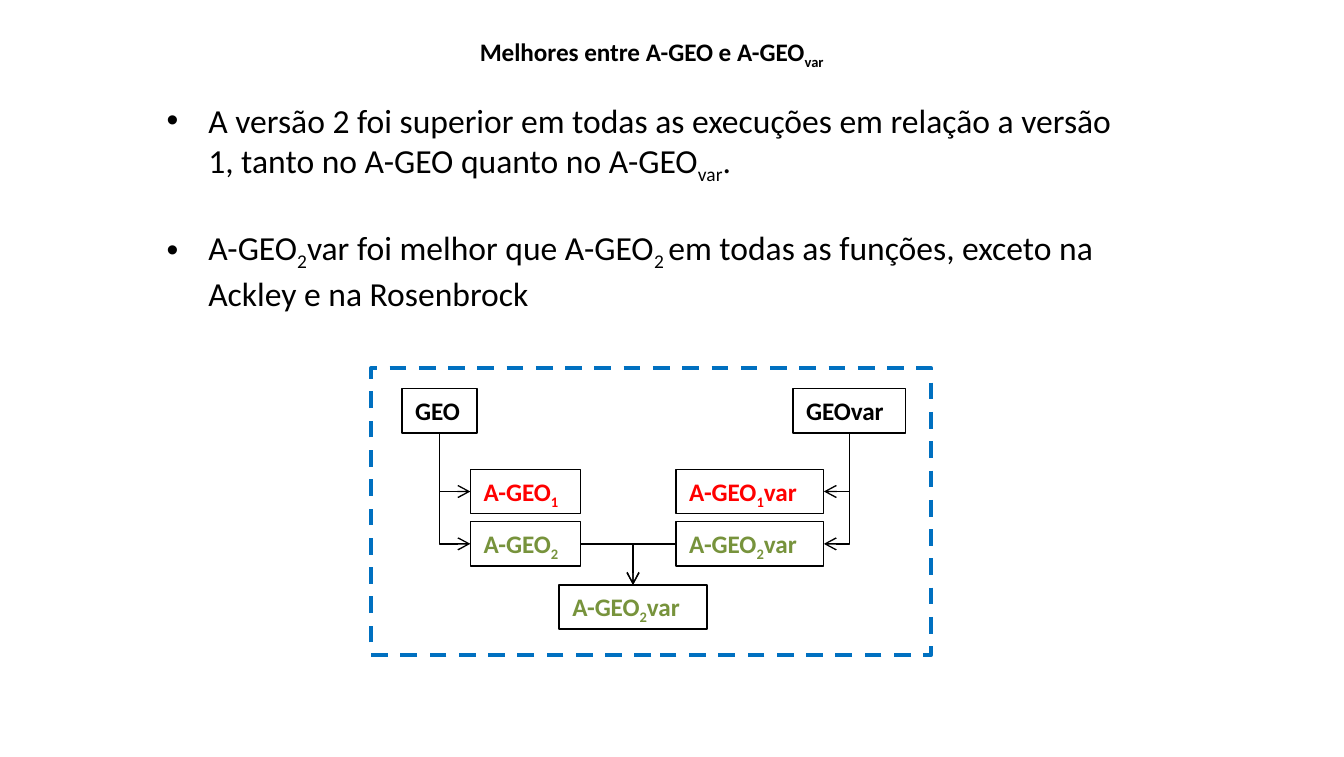
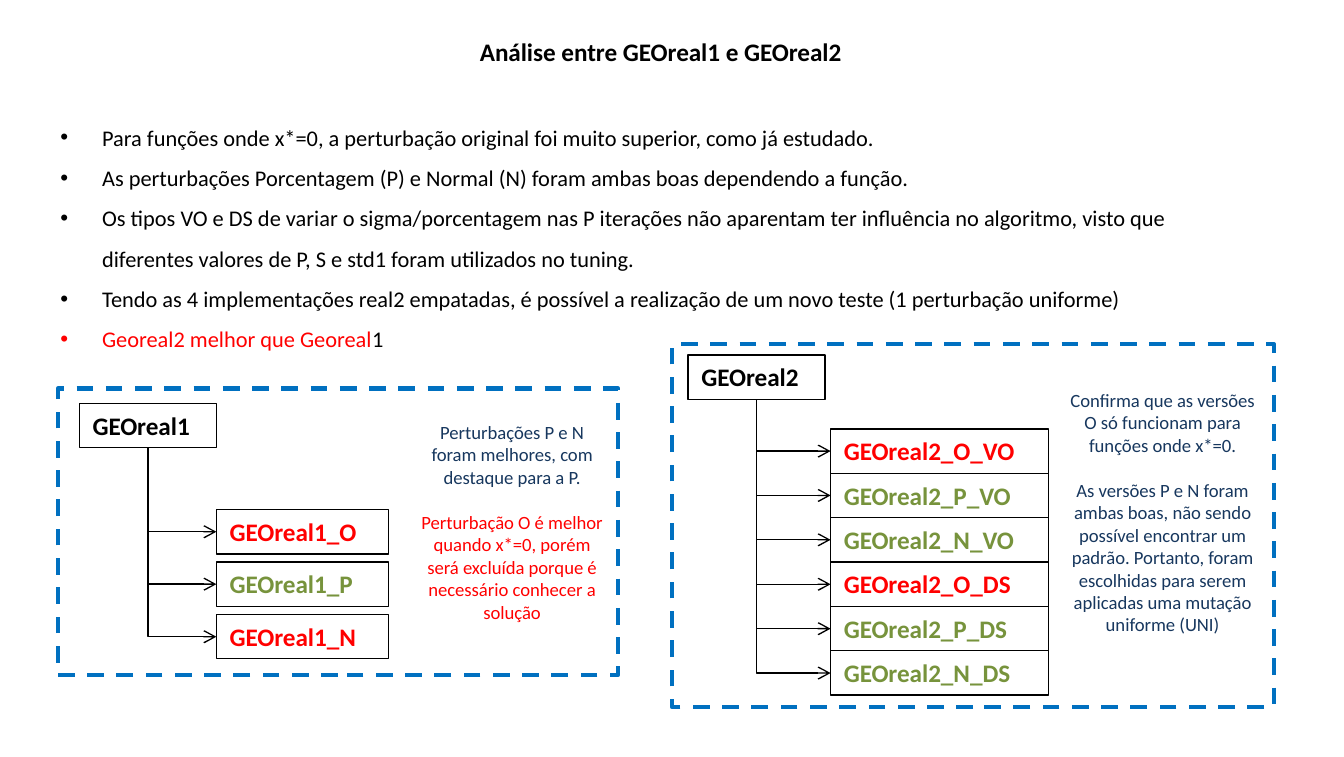
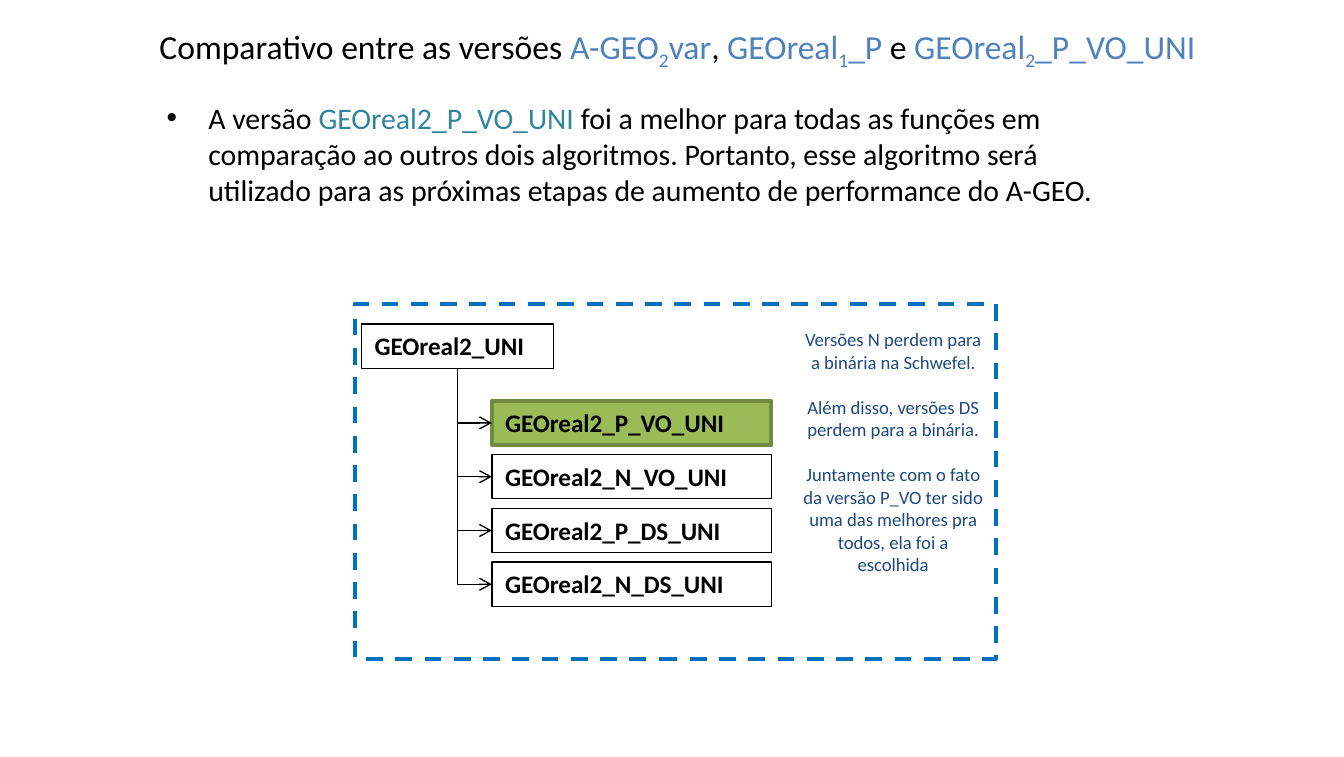
from dataclasses import dataclass
from typing import Any, NamedTuple, Optional

from lxml import etree
from pptx import Presentation
from pptx.dml.color import RGBColor
from pptx.enum.dml import MSO_LINE
from pptx.enum.shapes import MSO_CONNECTOR, MSO_SHAPE
from pptx.enum.text import MSO_ANCHOR, MSO_AUTO_SIZE, PP_ALIGN
from pptx.oxml.ns import qn
from pptx.util import Emu, Pt

PX = 9144
FONT = "Calibri"

BLACK = RGBColor(0x00, 0x00, 0x00)
RED = RGBColor(0xFF, 0x00, 0x00)
GREEN = RGBColor(0x77, 0x93, 0x3C)
BLUE = RGBColor(0x4F, 0x81, 0xBD)
TEAL = RGBColor(0x31, 0x85, 0x9C)
NAVY = RGBColor(0x17, 0x37, 0x5E)
DARK_BLUE = RGBColor(0x1F, 0x49, 0x7D)
FRAME_BLUE = RGBColor(0x00, 0x70, 0xC0)
WINNER_FILL = RGBColor(0x9B, 0xBB, 0x59)
WINNER_LINE = RGBColor(0x73, 0x8A, 0x42)

LEFT = PP_ALIGN.LEFT
CENTER = PP_ALIGN.CENTER
TOP = MSO_ANCHOR.TOP
NO_AUTOFIT = MSO_AUTO_SIZE.NONE
RECTANGLE = MSO_SHAPE.RECTANGLE
ELBOW = MSO_CONNECTOR.ELBOW
DASH = MSO_LINE.DASH

TOP_SIDE, LEFT_SIDE, BOTTOM_SIDE, RIGHT_SIDE = range(4)
BOX_HEIGHT = 33
BULLET_INDENT = 31


class Rect(NamedTuple):
    left: int
    top: int
    width: int
    height: int = BOX_HEIGHT


class Span(NamedTuple):
    text: str
    color: RGBColor = BLACK
    lowered: bool = False


Spans = list[Span]


@dataclass(frozen=True)
class TextStyle:
    size: float
    bold: bool = False
    align: Any = LEFT
    gap: float = 0
    spacing: float = 1.0
    indent: int = 0


@dataclass(frozen=True)
class Node:
    label: Spans
    fill: Optional[RGBColor] = None
    line: RGBColor = BLACK
    weight: float = 0.75


@dataclass(frozen=True)
class Tree:
    root_rect: Rect
    root: Node
    first_leaf: Rect
    step: int
    leaves: list[Node]


@dataclass(frozen=True)
class Note:
    rect: Rect
    paras: list[Spans]


HEADING = TextStyle(13.5, bold=True)
WIDE_HEADING = TextStyle(18, align=CENTER)
NODE = TextStyle(13.5, bold=True)
NOTE = TextStyle(10, align=CENTER, gap=12.2)


def px(length: int) -> Emu:
    return Emu(length * PX)


def px_rect(rect: Rect) -> list[Emu]:
    return [px(length) for length in rect]


def apply(target: Any, values: dict[str, Any]) -> None:
    for name, value in values.items():
        setattr(target, name, value)


def spans(color: RGBColor, *parts: str) -> Spans:
    return [Span(part, color, index % 2 == 1) for index, part in enumerate(parts)]


def nodes(*labels: tuple[str, RGBColor]) -> list[Node]:
    return [Node(spans(color, text)) for text, color in labels]


def write(shape: Any, paras: list[Spans], style: TextStyle) -> None:
    frame = shape.text_frame
    apply(frame, {"word_wrap": True, "auto_size": NO_AUTOFIT, "vertical_anchor": TOP})
    for index, content in enumerate(paras):
        para = frame.add_paragraph() if index else frame.paragraphs[0]
        apply(para, {
            "alignment": style.align,
            "line_spacing": style.spacing,
            "space_before": Pt(style.gap if index else 0),
            "space_after": Pt(0),
        })
        if style.indent:
            properties = para._p.get_or_add_pPr()
            properties.set("marL", str(px(style.indent)))
            properties.set("indent", str(-px(style.indent)))
        for span in content:
            run = para.add_run()
            run.text = span.text
            apply(run.font, {"name": FONT, "size": Pt(style.size), "bold": style.bold})
            run.font.color.rgb = span.color
            if span.lowered:
                run._r.get_or_add_rPr().set("baseline", "-25000")


def fill_placeholder(shape: Any, rect: Rect, paras: list[Spans], style: TextStyle) -> None:
    apply(shape, dict(zip(Rect._fields, px_rect(rect))))
    write(shape, paras, style)


def add_page(deck: Any, title_rect: Rect, title: Spans, title_style: TextStyle,
             body_rect: Rect, body: list[Spans], body_style: TextStyle) -> Any:
    page = deck.slides.add_slide(deck.slide_layouts[1])
    fill_placeholder(page.shapes.title, title_rect, [title], title_style)
    fill_placeholder(page.placeholders[1], body_rect, body, body_style)
    return page


def add_rectangle(page: Any, rect: Rect, line: RGBColor, weight: float,
                  fill: Optional[RGBColor] = None) -> Any:
    box = page.shapes.add_shape(RECTANGLE, *px_rect(rect))
    box.shadow.inherit = False
    if fill is None:
        box.fill.background()
    else:
        box.fill.solid()
        box.fill.fore_color.rgb = fill
    box.line.color.rgb = line
    box.line.width = Pt(weight)
    return box


def add_node(page: Any, rect: Rect, node: Node) -> Any:
    box = add_rectangle(page, rect, node.line, node.weight, node.fill)
    write(box, [node.label], NODE)
    return box


def add_frame(page: Any, rect: Rect) -> None:
    add_rectangle(page, rect, FRAME_BLUE, 2.25).line.dash_style = DASH


def add_note(page: Any, note: Note) -> None:
    write(page.shapes.add_textbox(*px_rect(note.rect)), note.paras, NOTE)


def turn_downward(connector: Any, xfrm: Any) -> None:
    left, top = connector.left, connector.top
    width, height = connector.width, connector.height
    apply(connector, {
        "left": Emu(left + (width - height) // 2),
        "top": Emu(top + (height - width) // 2),
        "width": height,
        "height": width,
    })
    xfrm.set("rot", "5400000")
    if xfrm.attrib.pop("flipH", None) is None:
        xfrm.set("flipV", "1")


def add_elbow(page: Any, start: Any, start_side: int, end: Any, end_side: int) -> None:
    connector = page.shapes.add_connector(ELBOW, 0, 0, 0, 0)
    connector.begin_connect(start, start_side)
    connector.end_connect(end, end_side)
    properties = connector._element.spPr
    properties.find(qn("a:prstGeom")).set("prst", "bentConnector2")
    if start_side == BOTTOM_SIDE:
        turn_downward(connector, properties.find(qn("a:xfrm")))
    connector.line.color.rgb = BLACK
    connector.line.width = Pt(0.75)
    etree.SubElement(properties.find(qn("a:ln")), qn("a:tailEnd"), type="arrow")
    etree.SubElement(properties, qn("a:effectLst"))


def add_tree(page: Any, tree: Tree) -> list[Any]:
    root = add_node(page, tree.root_rect, tree.root)
    first = tree.first_leaf
    side = LEFT_SIDE if first.left > tree.root_rect.left else RIGHT_SIDE
    boxes = []
    for index, leaf in enumerate(tree.leaves):
        box = add_node(page, first._replace(top=first.top + index * tree.step), leaf)
        add_elbow(page, root, BOTTOM_SIDE, box, side)
        boxes.append(box)
    return boxes


def build_best_page(deck: Any) -> None:
    page = add_page(
        deck,
        Rect(347, 22, 306), spans(BLACK, "Melhores entre A-GEO e A-GEO", "var"), HEADING,
        Rect(114, 69, 741, 151),
        [
            spans(BLACK, "A versão 2 foi superior em todas as execuções em relação a versão 1, "
                  "tanto no A-GEO quanto no A-GEO", "var", "."),
            spans(BLACK, "A-GEO", "2", "var foi melhor que A-GEO", "2 ",
                  "em todas as funções, exceto na Ackley e na Rosenbrock"),
        ],
        TextStyle(18, gap=22, indent=BULLET_INDENT),
    )
    plain = Tree(
        Rect(299, 289, 56), Node(spans(BLACK, "GEO")), Rect(350, 349, 82), 39,
        [Node(spans(RED, "A-GEO", "1")), Node(spans(GREEN, "A-GEO", "2"))],
    )
    winner = Node(spans(GREEN, "A-GEO", "2", "var"))
    variant = Tree(
        Rect(590, 289, 84), Node(spans(BLACK, "GEOvar")), Rect(503, 349, 110), 39,
        [Node(spans(RED, "A-GEO", "1", "var")), winner],
    )
    plain_best = add_tree(page, plain)[-1]
    variant_best = add_tree(page, variant)[-1]
    result = add_node(page, Rect(416, 435, 110), winner)
    add_elbow(page, plain_best, RIGHT_SIDE, result, TOP_SIDE)
    add_elbow(page, variant_best, LEFT_SIDE, result, TOP_SIDE)
    add_frame(page, Rect(276, 274, 417, 213))


def build_analysis_page(deck: Any) -> None:
    page = add_page(
        deck,
        Rect(347, 22, 328), spans(BLACK, "Análise entre GEOreal1 e GEOreal2"), HEADING,
        Rect(35, 77, 903, 192),
        [
            spans(BLACK, "Para funções onde x*=0, a perturbação original foi muito superior, "
                  "como já estudado."),
            spans(BLACK, "As perturbações Porcentagem (P) e Normal (N) foram ambas boas "
                  "dependendo a função."),
            spans(BLACK, "Os tipos VO e DS de variar o sigma/porcentagem nas P iterações não "
                  "aparentam ter influência no algoritmo, visto que diferentes valores de P, S "
                  "e std1 foram utilizados no tuning."),
            spans(BLACK, "Tendo as 4 implementações real2 empatadas, é possível a realização "
                  "de um novo teste (1 perturbação uniforme)"),
            [Span("Georeal2 melhor que Georeal", RED), Span("1")],
        ],
        TextStyle(12, spacing=1.5, indent=BULLET_INDENT),
    )
    add_tree(page, Tree(
        Rect(59, 300, 102), Node(spans(BLACK, "GEOreal1")), Rect(161, 379, 128), 39,
        nodes(("GEOreal1_O", RED), ("GEOreal1_P", GREEN), ("GEOreal1_N", RED)),
    ))
    add_note(page, Note(Rect(303, 308, 156, 161), [
        spans(NAVY, "Perturbações P e N foram melhores, com destaque para a P."),
        spans(RED, "Perturbação O é melhor quando x*=0, porém será excluída porque é "
              "necessário conhecer a solução"),
    ]))
    add_frame(page, Rect(43, 289, 417, 213))
    add_tree(page, Tree(
        Rect(512, 264, 102), Node(spans(BLACK, "GEOreal2")), Rect(618, 319, 162), 33,
        nodes(*((f"GEOreal2_{kind}_{mode}", color)
                for mode in ("VO", "DS")
                for kind, color in (("O", RED), ("P", GREEN), ("N", GREEN)))),
    ))
    add_frame(page, Rect(500, 256, 448, 270))
    add_note(page, Note(Rect(782, 284, 166, 229), [
        spans(NAVY, "Confirma que as versões O só funcionam para funções onde x*=0."),
        spans(NAVY, "As versões P e N foram ambas boas, não sendo possível encontrar um "
              "padrão. Portanto, foram escolhidas para serem aplicadas uma mutação "
              "uniforme (UNI)"),
    ]))


def build_comparison_page(deck: Any) -> None:
    page = add_page(
        deck,
        Rect(67, 14, 874, 40),
        [
            Span("Comparativo entre as versões "),
            *spans(BLUE, "A-GEO", "2", "var"),
            Span(", "),
            *spans(BLUE, "GEOreal", "1", "_P"),
            Span(" e "),
            *spans(BLUE, "GEOreal", "2", "_P_VO_UNI"),
        ],
        WIDE_HEADING,
        Rect(114, 69, 741, 118),
        [[
            Span("A versão "),
            Span("GEOreal2_P_VO_UNI", TEAL),
            Span(" foi a melhor para todas as funções em comparação ao outros dois "
                 "algoritmos. Portanto, esse algoritmo será utilizado para as próximas "
                 "etapas de aumento de performance do A-GEO."),
        ]],
        TextStyle(16, indent=BULLET_INDENT),
    )
    add_tree(page, Tree(
        Rect(269, 241, 143), Node(spans(BLACK, "GEOreal2_UNI")), Rect(366, 298, 208), 40,
        [
            Node(spans(BLACK, "GEOreal2_P_VO_UNI"), WINNER_FILL, WINNER_LINE, 2),
            *nodes(*((f"GEOreal2_{name}_UNI", BLACK) for name in ("N_VO", "P_DS", "N_DS"))),
        ],
    ))
    add_frame(page, Rect(264, 226, 477, 264))
    add_note(page, Note(Rect(587, 239, 155, 229), [
        spans(DARK_BLUE, "Versões N perdem para a binária na Schwefel."),
        spans(DARK_BLUE, "Além disso, versões DS perdem para a binária."),
        spans(DARK_BLUE, "Juntamente com o fato da versão P_VO ter sido uma das melhores "
              "pra todos, ela foi a escolhida"),
    ]))


def main() -> None:
    deck = Presentation()
    apply(deck, {"slide_width": px(1000), "slide_height": px(563)})
    build_best_page(deck)
    build_analysis_page(deck)
    build_comparison_page(deck)
    deck.save("out.pptx")


if __name__ == "__main__":
    main()
